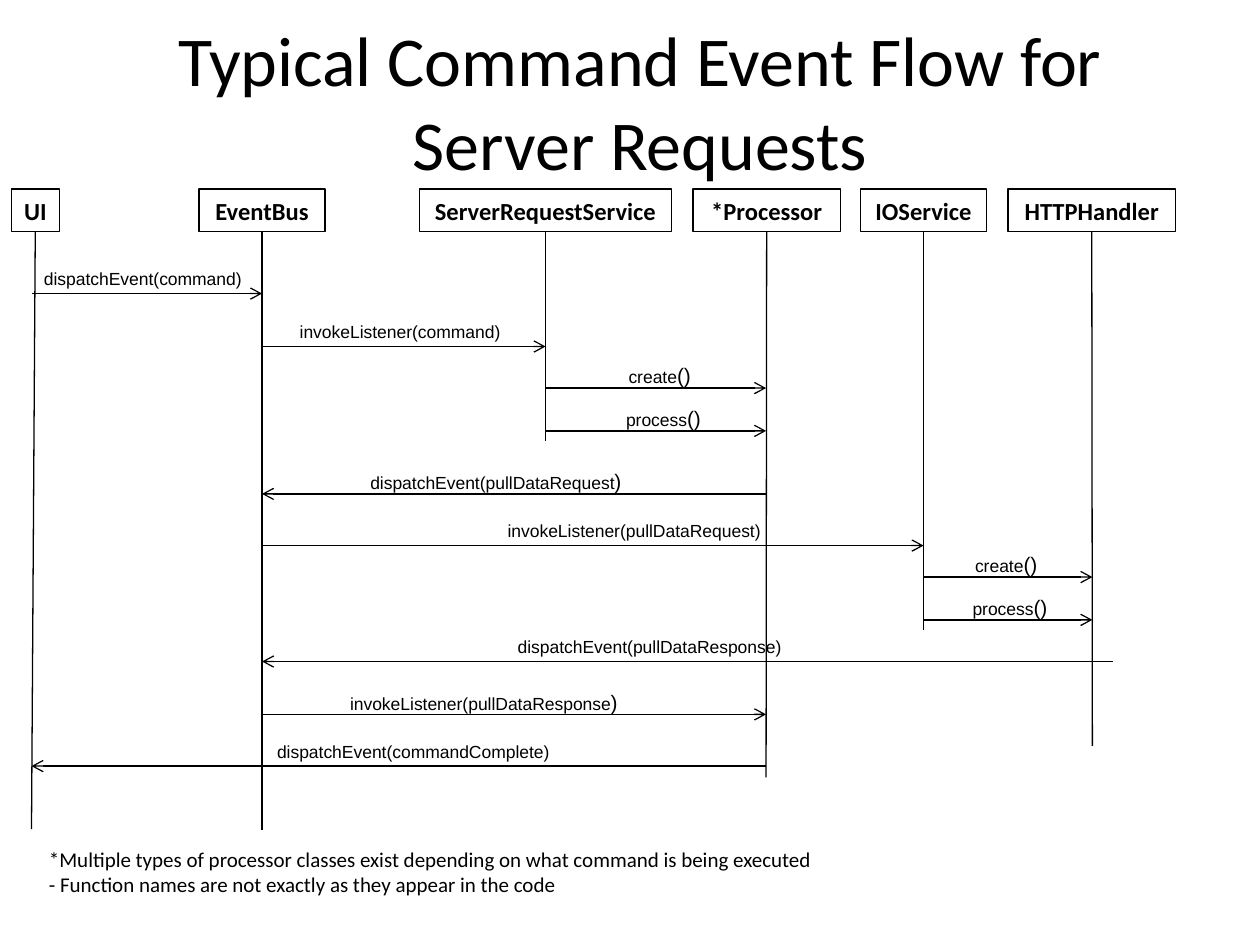
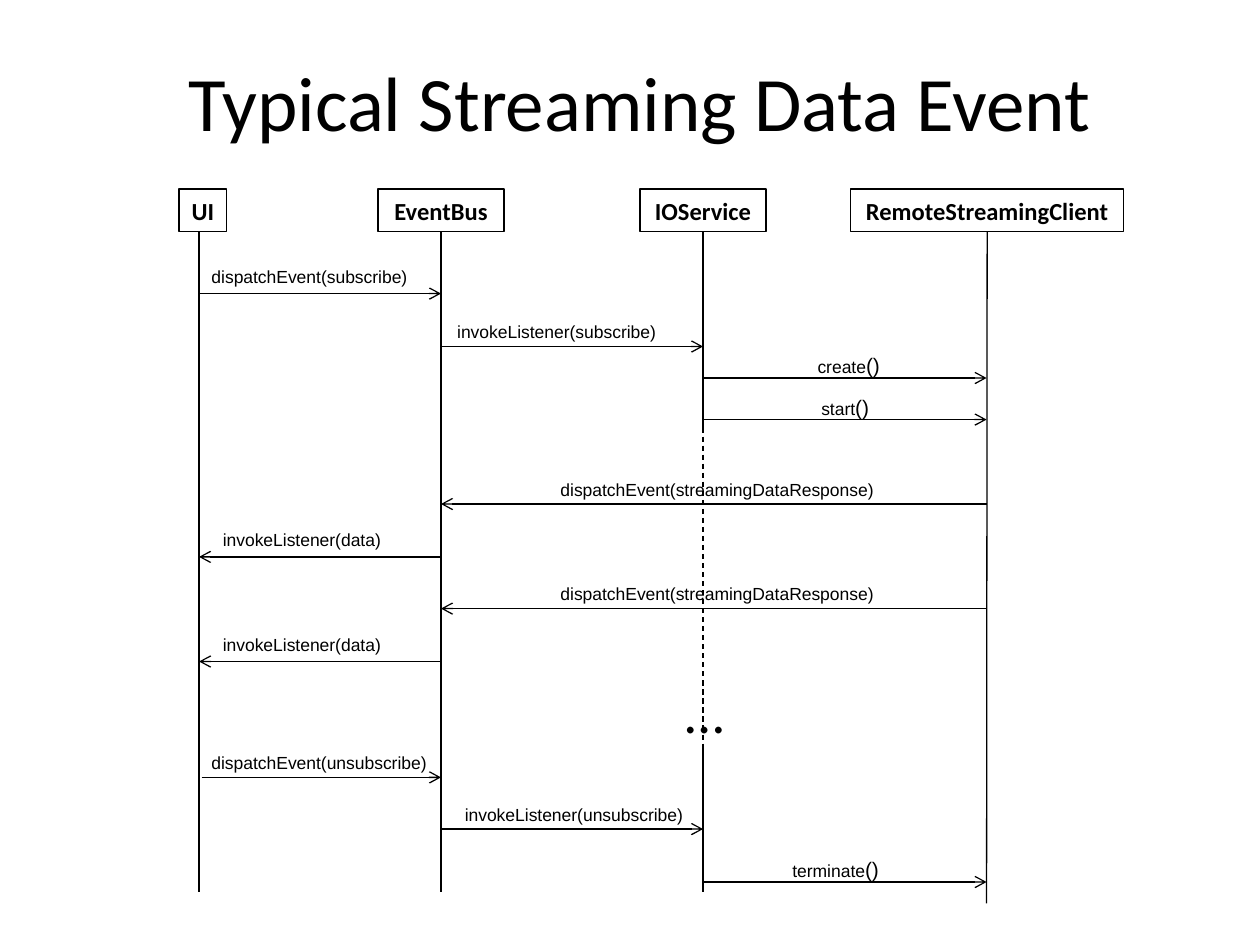
from lxml import etree
from pptx import Presentation
from pptx.dml.color import RGBColor
from pptx.enum import dml, shapes, text
from pptx.oxml.ns import qn
from pptx.util import Inches, Pt

THEME = {
    "ink": RGBColor(0, 0, 0),
    "heading_font": "Calibri",
    "label_font": "Arial",
    "line_width": Pt(0.75),
    "participant_size": 14,
    "label_size": 10,
    "bracket_size": 12,
    "note_size": 12,
    "ellipsis_size": 32,
}
TITLE_AREA = (0.58, 0.17, 9, 1.25)
BOX_TOP, BOX_HEIGHT = 1.5, 0.34
LABEL_SLACK = 0.02  # keeps each label on one line

# Participants: name -> (box left, box width, lifeline x, lifeline end, centred on box)
# Messages: (sender, receiver, y, label left, label width, label rise, label);
# a number replaces a participant where an arrow starts off its lifeline,
# and the part of a label after "|" is set larger
DIAGRAMS = [
    {
        "title": "Typical Command Event Flow for Server Requests",
        "title_size": 40,
        "participants": {
            "UI": (0.09, 0.38, 0.25, 6.58, True),
            "EventBus": (1.58, 1, 2.08, 6.59, True),
            "ServerRequestService": (3.33, 2, 4.33, 3.5, True),
            "*Processor": (5.5, 1.17, 6.08, 6.17, True),
            "IOService": (6.83, 1, 7.33, 5, True),
            "HTTPHandler": (8, 1.33, 8.67, 5.92, True),
        },
        "messages": [
            ("UI", "EventBus", 2.33, 0.25, 1.77, 0.25, "dispatchEvent(command)"),
            ("EventBus", "ServerRequestService", 2.75, 2.28, 1.79, 0.25, "invokeListener(command)"),
            ("ServerRequestService", "*Processor", 3.08, 4.89, 0.69, 0.25, "create|()"),
            ("ServerRequestService", "*Processor", 3.42, 4.87, 0.79, 0.25, "process|()"),
            ("*Processor", "EventBus", 3.92, 2.84, 2.19, 0.25, "dispatchEvent(pullDataRequest|)"),
            ("EventBus", "IOService", 4.33, 3.93, 2.2, 0.25, "invokeListener(pullDataRequest)"),
            ("IOService", "HTTPHandler", 4.58, 7.64, 0.69, 0.25, "create|()"),
            ("IOService", "HTTPHandler", 4.92, 7.62, 0.79, 0.25, "process|()"),
            (8.83, "EventBus", 5.25, 4.01, 2.29, 0.25, "dispatchEvent(pullDataResponse)"),
            ("EventBus", "*Processor", 5.67, 2.68, 2.32, 0.25, "invokeListener(pullDataResponse|)"),
            ("*Processor", "UI", 6.08, 2.1, 2.36, 0.25, "dispatchEvent(commandComplete)"),
        ],
        "extra_lines": [],
        "extra_texts": [
            ((0.29, 6.67, 6.27, 0.5), THEME["note_size"], [
                "*Multiple types of processor classes exist depending on what command is being executed",
                "- Function names are not exactly as they appear in the code",
            ]),
        ],
    },
    {
        "title": "Typical Streaming Data Event",
        "title_size": 44,
        "participants": {
            "UI": (1.42, 0.38, 1.58, 7.08, False),
            "EventBus": (3, 1, 3.5, 7.08, True),
            "IOService": (5.08, 1, 5.58, 3.42, True),
            "RemoteStreamingClient": (6.75, 2.17, 7.83, 7.17, True),
        },
        "messages": [
            ("UI", "EventBus", 2.33, 1.58, 1.77, 0.27, "dispatchEvent(subscribe)"),
            ("EventBus", "IOService", 2.75, 3.53, 1.77, 0.25, "invokeListener(subscribe)"),
            ("IOService", "RemoteStreamingClient", 3, 6.39, 0.69, 0.25, "create|()"),
            ("IOService", "RemoteStreamingClient", 3.33, 6.42, 0.58, 0.25, "start|()"),
            ("RemoteStreamingClient", "EventBus", 4, 4.35, 2.68, 0.25,
             "dispatchEvent(streamingDataResponse)"),
            ("EventBus", "UI", 4.42, 1.67, 1.45, 0.27, "invokeListener(data)"),
            ("RemoteStreamingClient", "EventBus", 4.83, 4.35, 2.68, 0.25,
             "dispatchEvent(streamingDataResponse)"),
            ("EventBus", "UI", 5.25, 1.67, 1.45, 0.27, "invokeListener(data)"),
            (1.6, "EventBus", 6.17, 1.58, 1.94, 0.25, "dispatchEvent(unsubscribe)"),
            ("EventBus", "IOService", 6.58, 3.59, 1.93, 0.25, "invokeListener(unsubscribe)"),
            ("IOService", "RemoteStreamingClient", 7, 6.19, 0.89, 0.25, "terminate|()"),
        ],
        # The lifeline is dashed while data streams, then solid again
        "extra_lines": [(5.58, 3.25, 5.92, True), (5.58, 5.92, 7.08, False)],
        "extra_texts": [((5.34, 5.33, 0.5, 0.64), THEME["ellipsis_size"], ["…"])],
    },
]


def add_line(slide, start, end, arrow=False, dashed=False):
    line = slide.shapes.add_connector(
        shapes.MSO_CONNECTOR.STRAIGHT, *(Inches(value) for value in (*start, *end)))
    line.line.color.rgb = THEME["ink"]
    line.line.width = THEME["line_width"]
    if dashed:
        line.line.dash_style = dml.MSO_LINE.DASH
    properties = line._element.spPr
    if arrow:
        etree.SubElement(properties.find(qn("a:ln")), qn("a:tailEnd"), type="arrow")
    etree.SubElement(properties, qn("a:effectLst"))
    return line


def fill_text(shape, lines, sizes, font="heading_font", bold=False, centred=False,
              wrap=False, grow=True):
    frame = shape.text_frame
    frame_format = {
        "word_wrap": wrap,
        "auto_size": text.MSO_AUTO_SIZE.SHAPE_TO_FIT_TEXT if grow else text.MSO_AUTO_SIZE.NONE,
        "vertical_anchor": text.MSO_ANCHOR.MIDDLE if centred else text.MSO_ANCHOR.TOP,
    }
    for name, value in frame_format.items():
        setattr(frame, name, value)
    for index, line in enumerate(lines):
        paragraph = frame.add_paragraph() if index else frame.paragraphs[0]
        paragraph.alignment = text.PP_ALIGN.CENTER if centred else text.PP_ALIGN.LEFT
        for part, size in zip(line.split("|"), sizes):
            run = paragraph.add_run()
            run.text = part
            run.font.color.rgb = THEME["ink"]
            for name, value in {"name": THEME[font], "size": Pt(size), "bold": bold}.items():
                setattr(run.font, name, value)


presentation = Presentation()
presentation.slide_width, presentation.slide_height = Inches(10), Inches(7.5)

for diagram in DIAGRAMS:
    slide = presentation.slides.add_slide(presentation.slide_layouts[6])

    # Title
    title = slide.shapes.add_textbox(*map(Inches, TITLE_AREA))
    fill_text(title, [diagram["title"]], [diagram["title_size"]],
              centred=True, wrap=True, grow=False)

    # Participants and their lifelines
    lifelines = {}
    for name, (left, width, x, foot, centred_on_box) in diagram["participants"].items():
        box = slide.shapes.add_shape(
            shapes.MSO_SHAPE.RECTANGLE, *map(Inches, (left, BOX_TOP, width, BOX_HEIGHT)))
        box.shadow.inherit = False
        box.fill.background()
        box.line.color.rgb = THEME["ink"]
        box.line.width = THEME["line_width"]
        fill_text(box, [name], [THEME["participant_size"]], bold=True, centred=True,
                  wrap=name != "UI")
        lifeline = add_line(slide, (x, BOX_TOP + BOX_HEIGHT), (x, foot))
        if centred_on_box:
            lifeline.begin_connect(box, 2)
        lifelines[name] = x

    for x, top, foot, dashed in diagram["extra_lines"]:
        add_line(slide, (x, top), (x, foot), dashed=dashed)

    # Messages with their labels
    for sender, receiver, y, left, width, rise, label in diagram["messages"]:
        start_x = lifelines.get(sender, sender)
        add_line(slide, (start_x, y), (lifelines[receiver], y), arrow=True)
        height = 0.3 if "|" in label else 0.27
        label_box = slide.shapes.add_textbox(
            *map(Inches, (left, y - rise, width + LABEL_SLACK, height)))
        fill_text(label_box, [label], [THEME["label_size"], THEME["bracket_size"]],
                  font="label_font")

    # Notes and the ellipsis
    for area, size, lines in diagram["extra_texts"]:
        fill_text(slide.shapes.add_textbox(*map(Inches, area)), lines, [size])

presentation.save("out.pptx")
